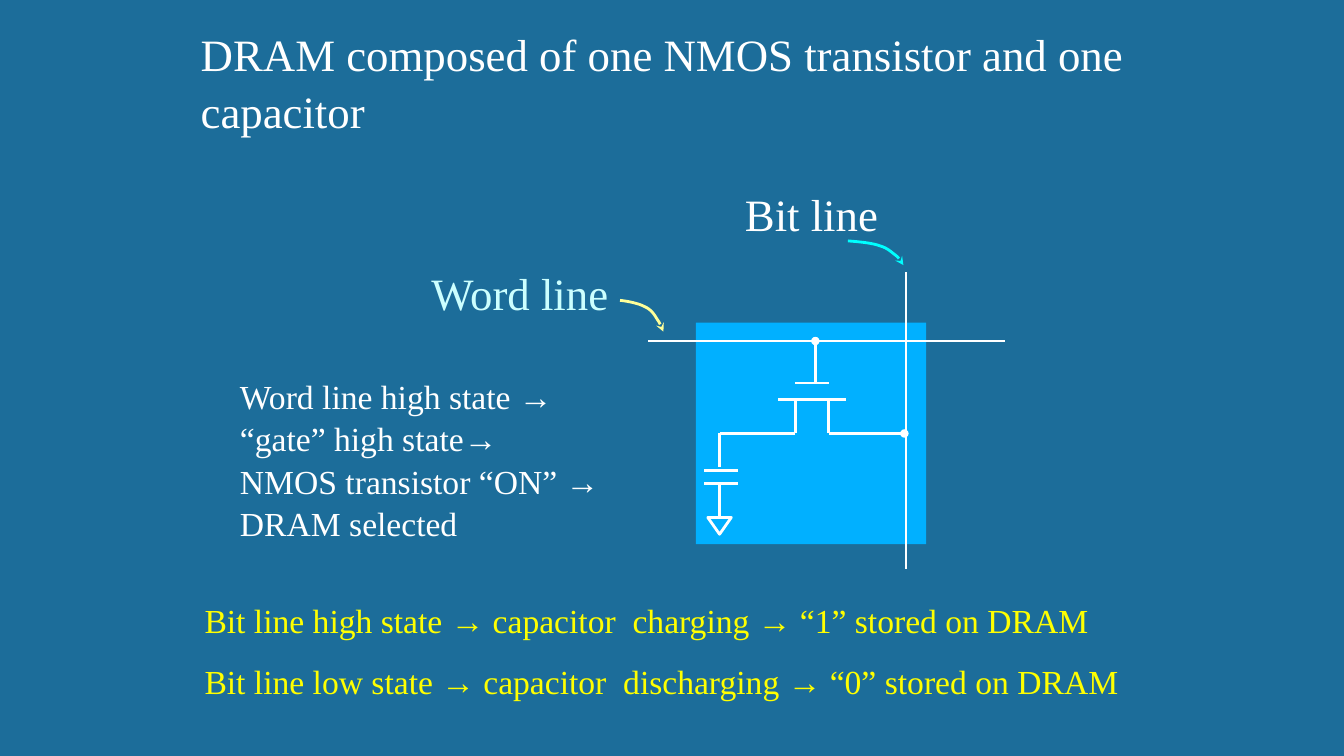
from dataclasses import dataclass
from typing import NamedTuple

from lxml.etree import SubElement
from pptx import Presentation
from pptx.dml.color import RGBColor
from pptx.enum.shapes import MSO_CONNECTOR, MSO_SHAPE
from pptx.enum.text import MSO_ANCHOR, MSO_AUTO_SIZE, PP_ALIGN
from pptx.oxml.ns import qn
from pptx.util import Inches, Pt


@dataclass(frozen=True)
class Theme:
    """Colours, type sizes and line width of the slide."""
    font: str = "Times New Roman"
    background: str = "1C6D9A"
    cell: str = "01B0FF"
    white: str = "FFFFFF"
    word_label: str = "CCFFFF"
    word_arrow: str = "FFFF99"
    bit_arrow: str = "00FFFF"
    result: str = "FFFF00"
    large: int = 32
    small: int = 24
    stroke: float = 2
    spacing: float = 1.05


class Area(NamedTuple):
    """Left, top, width and height in inches."""
    left: float
    top: float
    width: float
    height: float


class Wire(NamedTuple):
    """A circuit line in grid columns and rows, optionally ending in a dot."""
    x1: float
    y1: float
    x2: float
    y2: float
    dot: bool = False


class Label(NamedTuple):
    """A text with its place and style."""
    text: str
    area: Area
    size: int
    color: str
    wrap: bool = True


class Pointer(NamedTuple):
    """A curved arrow: start point, then three points per Bezier segment."""
    color: str
    points: list


THEME = Theme()
STEP = 1 / 6  # circuit grid pitch in inches
ORIGIN_X, ORIGIN_Y = 7.72, 3.8  # left end of the channel, height of the gate
CURVE_STEPS = 8

TITLE = Label("DRAM composed of one NMOS transistor and one capacitor",
              Area(1.89, 0.19, 9.56, 1.18), THEME.large, THEME.white)
SELECTION = Label("Word line high state →\n“gate” high state→\n"
                  "NMOS transistor “ON” → DRAM selected",
                  Area(2.28, 3.66, 3.83, 1.72), THEME.small, THEME.white)
RESULTS = ["Bit line high state → capacitor  charging → “1” stored on DRAM",
           "Bit line low state → capacitor  discharging → “0” stored on DRAM"]
LABELS = [
    Label("Word line", Area(4.18, 2.56, 1.97, 0.64), THEME.large, THEME.word_label, False),
    Label("Bit line", Area(7.29, 1.78, 1.54, 0.64), THEME.large, THEME.white, False),
    *(Label(text, Area(1.93, 5.88 + 0.61 * row, 9.51, 0.5), THEME.small, THEME.result)
      for row, text in enumerate(RESULTS)),
]
WIRES = [
    Wire(-7.75, -2.5, 13.5, -2.5),  # word line
    Wire(7.6, -6.6, 7.6, 11.1),  # bit line
    Wire(2.2, 0, 2.2, -2.5, True),  # gate lead
    Wire(1, 0, 3, 0),  # gate
    Wire(0, 1, 4, 1),  # channel
    Wire(1, 1, 1, 3), Wire(1, 3, -3.5, 3),  # source
    Wire(3, 1, 3, 3), Wire(3, 3, 7.5, 3, True),  # drain
    Wire(-3.5, 3, -3.5, 5),
    Wire(-4.4, 5.2, -2.4, 5.2), Wire(-4.4, 6, -2.4, 6),  # capacitor plates
    Wire(-3.5, 6, -3.5, 8),
]
POINTERS = [
    Pointer(THEME.word_arrow, [
        (6.15, 2.98), (6.24, 2.99), (6.33, 3.01), (6.39, 3.04), (6.46, 3.07),
        (6.49, 3.12), (6.52, 3.17), (6.55, 3.21), (6.57, 3.27), (6.58, 3.29)]),
    Pointer(THEME.bit_arrow, [
        (8.41, 2.39), (8.53, 2.4), (8.65, 2.41), (8.73, 2.44), (8.8, 2.46),
        (8.84, 2.5), (8.88, 2.53), (8.92, 2.56), (8.95, 2.61), (8.96, 2.63)]),
]


def grid_area(column: float, row: float, columns: float, rows: float) -> Area:
    """Turn grid columns and rows into an area in inches."""
    return Area(ORIGIN_X + column * STEP, ORIGIN_Y + row * STEP,
                columns * STEP, rows * STEP)


def style_line(shape, color: str, tail: str = "") -> None:
    """Set the line of a shape and the head at its end."""
    shape.line.color.rgb = RGBColor.from_string(color)
    shape.line.width = Pt(THEME.stroke)
    if tail:
        SubElement(shape.line._get_or_add_ln(), qn("a:tailEnd"), type=tail)


def fill_text(box, label: Label) -> None:
    """Place a box or placeholder and write its formatted text."""
    box.left, box.top, box.width, box.height = map(Inches, label.area)
    frame = box.text_frame
    frame.text = label.text
    frame.word_wrap = label.wrap
    frame.auto_size = MSO_AUTO_SIZE.NONE
    frame.vertical_anchor = MSO_ANCHOR.TOP
    for para in frame.paragraphs:
        para.alignment = PP_ALIGN.LEFT
        para.line_spacing = THEME.spacing
        para.space_before = para.space_after = Pt(0)
        properties = para._p.get_or_add_pPr()
        properties.set("marL", "0")
        properties.set("indent", "0")
        SubElement(properties, qn("a:buNone"))
        for span in para.runs:
            span.font.name = THEME.font
            span.font.size = Pt(label.size)
            span.font.color.rgb = RGBColor.from_string(label.color)


def add_preset(page, kind: MSO_SHAPE, area: Area):
    """Add a preset shape without shadow."""
    shape = page.shapes.add_shape(kind, *map(Inches, area))
    shape.shadow.inherit = False
    return shape


def add_wire(page, wire: Wire) -> None:
    """Draw one circuit line."""
    start = grid_area(wire.x1, wire.y1, 0, 0)
    end = grid_area(wire.x2, wire.y2, 0, 0)
    line = page.shapes.add_connector(
        MSO_CONNECTOR.STRAIGHT, *map(Inches, start[:2] + end[:2]))
    style_line(line, THEME.white, "oval" if wire.dot else "")
    SubElement(line._element.spPr, qn("a:effectLst"))


def bezier(a: tuple, b: tuple, c: tuple, d: tuple, t: float) -> tuple:
    """Return the point at t on a cubic Bezier segment."""
    u = 1 - t
    return tuple(Inches(u**3 * p + 3 * u * u * t * q + 3 * u * t * t * r + t**3 * s)
                 for p, q, r, s in zip(a, b, c, d))


def add_pointer(page, pointer: Pointer) -> None:
    """Draw a curved arrow as a fine open outline."""
    points = pointer.points
    curve = [bezier(*points[first:first + 4], step / CURVE_STEPS)
             for first in range(0, len(points) - 1, 3)
             for step in range(1, CURVE_STEPS + 1)]
    builder = page.shapes.build_freeform(*map(Inches, points[0]))
    builder.add_line_segments(curve, close=False)
    arrow = builder.convert_to_shape()
    arrow.shadow.inherit = False
    arrow.fill.background()
    style_line(arrow, pointer.color, "stealth")


def add_circuit(page) -> None:
    """Draw the memory cell with its wires and ground symbol."""
    cell = add_preset(page, MSO_SHAPE.RECTANGLE, grid_area(-4.9, -3.6, 13.7, 13.2))
    cell.fill.solid()
    cell.fill.fore_color.rgb = RGBColor.from_string(THEME.cell)
    cell.line.fill.background()
    for wire in WIRES:
        add_wire(page, wire)
    ground = add_preset(page, MSO_SHAPE.ISOSCELES_TRIANGLE, grid_area(-4.2, 8, 1.4, 1))
    ground.rotation = 180
    ground.fill.background()
    style_line(ground, THEME.white)


def main() -> None:
    """Build and save the slide."""
    deck = Presentation()
    deck.slide_width, deck.slide_height = Inches(13.33), Inches(7.5)
    page = deck.slides.add_slide(deck.slide_layouts[1])
    page.background.fill.solid()
    page.background.fill.fore_color.rgb = RGBColor.from_string(THEME.background)
    fill_text(page.shapes.title, TITLE)
    fill_text(page.placeholders[1], SELECTION)
    add_circuit(page)
    for pointer in POINTERS:
        add_pointer(page, pointer)
    for label in LABELS:
        fill_text(page.shapes.add_textbox(0, 0, 0, 0), label)
    deck.save("out.pptx")


main()
